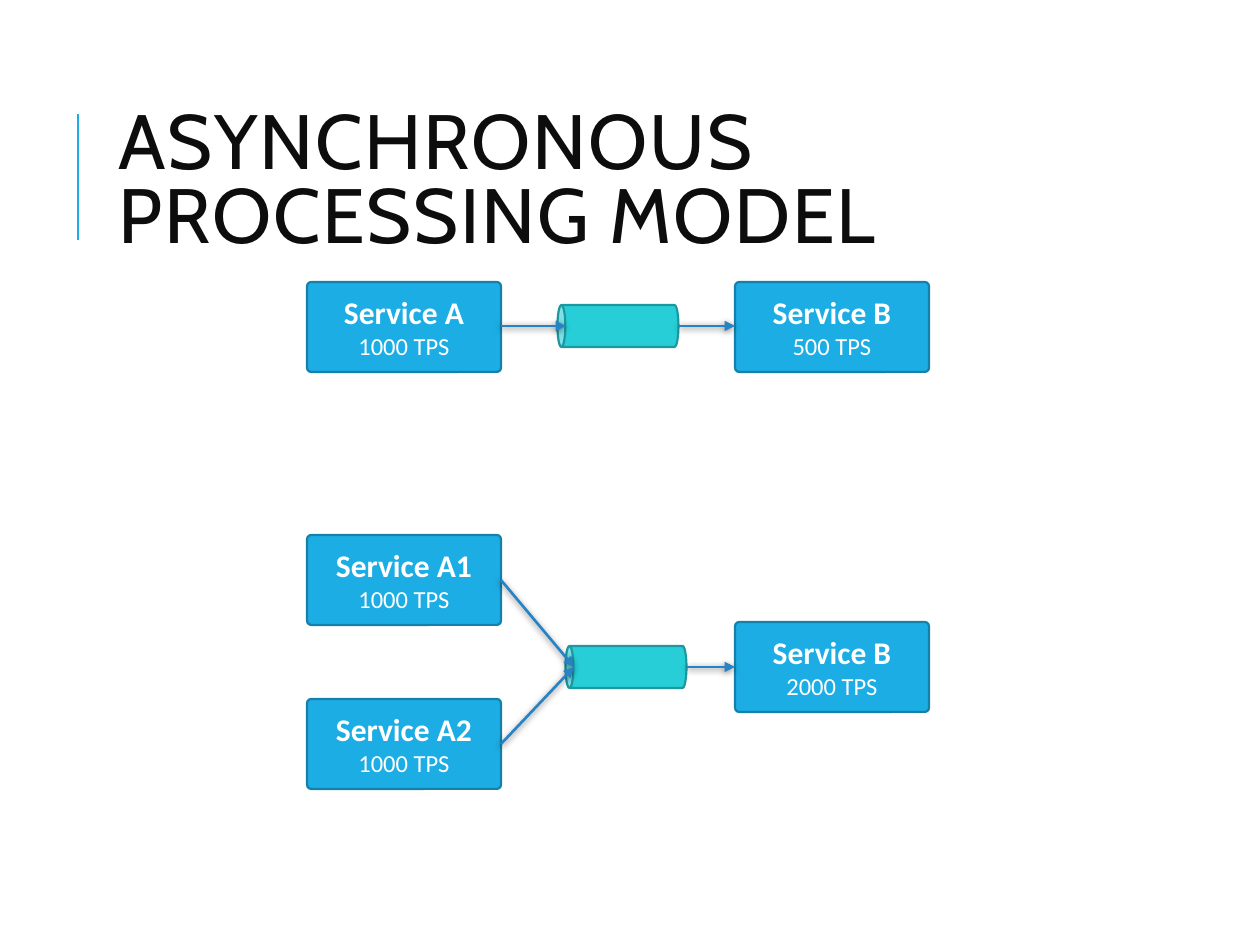
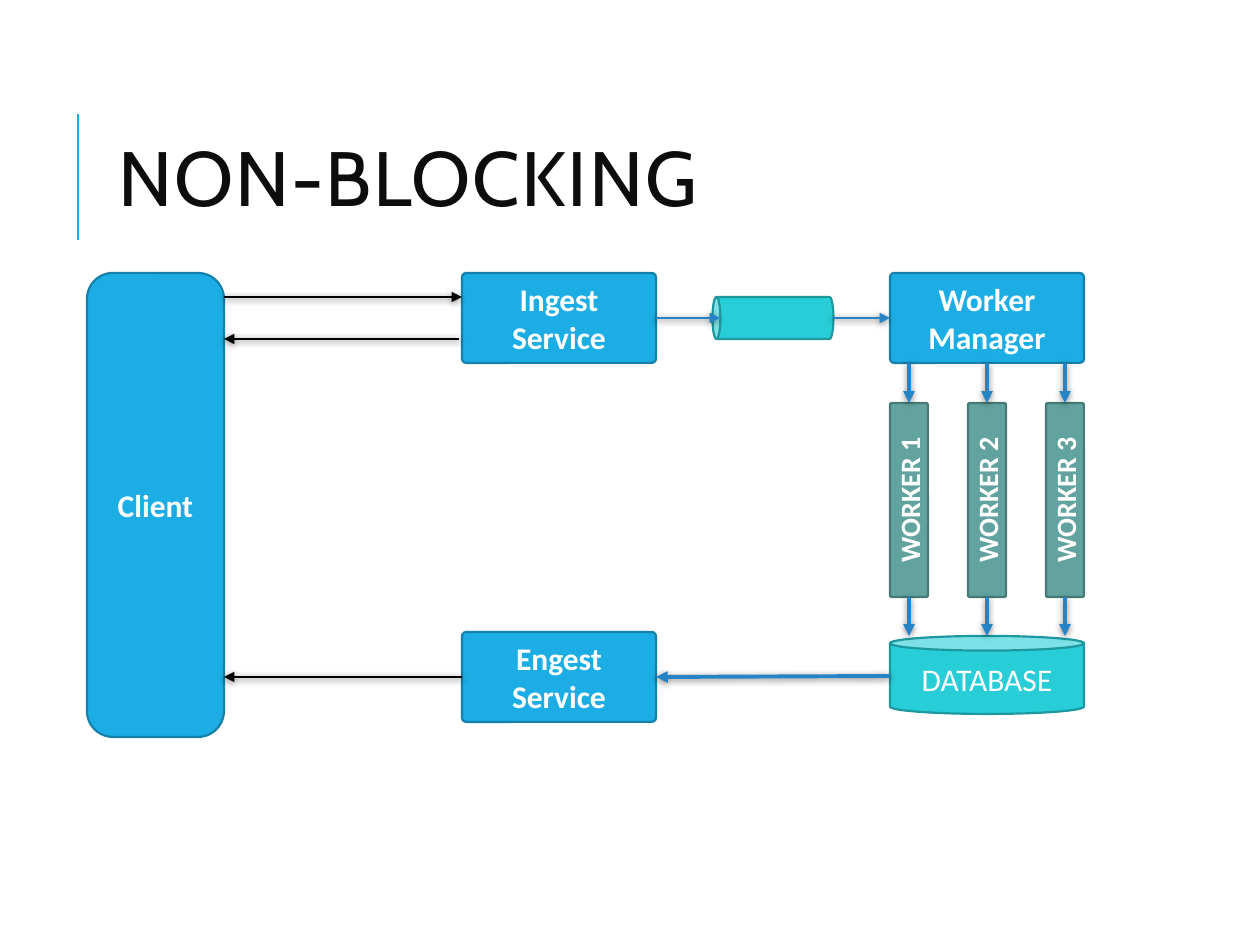
"""Build two slides on asynchronous and non-blocking service designs."""
from lxml import etree
from pptx import Presentation
from pptx import util as u
from pptx.dml.color import RGBColor
from pptx.enum import shapes, text
from pptx.oxml import parse_xml
from pptx.oxml.ns import qn

BLUE, BLUE_EDGE = "1CADE4", "1580A9"
TEAL, TEAL_EDGE = "27CED7", "1D989F"
GREEN, GREEN_EDGE = "62A39F", "497976"
ARROW, BLACK, WHITE, TITLE = "2683C6", "000000", "FFFFFF", "0D0D0D"
BOX_W, BOX_H = 194, 90
QUEUE_W, QUEUE_H = 121, 42
WORKER_H = 38
NS = "http://schemas.openxmlformats.org/drawingml/2006/main"
SHADOW = (f'<a:effectLst xmlns:a="{NS}"><a:outerShdw blurRad="50800" dist="12700" dir="5400000" '
          'rotWithShape="0"><a:srgbClr val="000000"><a:alpha val="50000"/></a:srgbClr>'
          '</a:outerShdw></a:effectLst>')

MODEL = {
    "title": "ASYNCHRONOUS PROCESSING MODEL",
    "services": [
        (307, 282, "Service A", "1000 TPS"),
        (735, 282, "Service B", "500 TPS"),
        (307, 535, "Service A1", "1000 TPS"),
        (735, 622, "Service B", "2000 TPS"),
        (307, 699, "Service A2", "1000 TPS"),
    ],
    "queues": [(618, 326), (626, 667)],
    "arrows": [
        (501, 326, 566, 326), (679, 326, 735, 326),
        (501, 580, 574, 667), (501, 744, 574, 667), (687, 667, 735, 667),
    ],
}
FLOW = {
    "title": "NON-BLOCKING",
    "services": [
        (462, 273, "Ingest Service"),
        (890, 273, "Worker Manager"),
        (462, 632, "Engest Service"),
    ],
    "queues": [(773, 318)],
    "arrows": [(656, 318, 720, 318), (833, 318, 890, 318)],
}
CLIENT = (87, 273, 137, 464)
CLIENT_ARROWS = [(224, 297, 462, 297), (459, 339, 224, 339), (462, 677, 224, 677)]
WORKERS = ["WORKER 1", "WORKER 2", "WORKER 3"]
WORKER_X, WORKER_STEP, WORKER_Y = 909, 78, 500
DATABASE = (890, 636, BOX_W, 78)


def px(n):
    return u.Emu(round(n * 914400 / 126))


def rgb(value):
    return RGBColor.from_string(value)


def write(p, words, size=18, font="Calibri", color=WHITE, bold=False):
    r = p.add_run()
    r.text = words
    r.font.size, r.font.name, r.font.bold = u.Pt(size), font, bold
    r.font.color.rgb = rgb(color)
    return r


def draw(s, kind, box, lines=(), fill=BLUE, edge=BLUE_EDGE, adj=0.047, turn=0):
    sp = s.shapes.add_shape(kind, *map(px, box))
    sp.shadow.inherit = False
    sp.rotation, sp.adjustments[0] = turn, adj
    sp.fill.solid()
    sp.fill.fore_color.rgb = rgb(fill)
    sp.line.color.rgb, sp.line.width = rgb(edge), u.Pt(1.25)
    tf = sp.text_frame
    tf.word_wrap, tf.vertical_anchor = True, text.MSO_ANCHOR.MIDDLE
    for i, (words, size, bold) in enumerate(lines):
        p = tf.add_paragraph() if i else tf.paragraphs[0]
        p.alignment = text.PP_ALIGN.CENTER
        write(p, words, size=size, bold=bold)


def line(s, ends, color=ARROW, width=1.5, arrow=True):
    c = s.shapes.add_connector(shapes.MSO_CONNECTOR.STRAIGHT, *map(px, ends))
    c.line.color.rgb, c.line.width = rgb(color), u.Pt(width)
    if arrow:
        etree.SubElement(c.line._get_or_add_ln(), qn("a:tailEnd"), type="triangle")
        c._element.spPr.append(parse_xml(SHADOW))
    else:
        etree.SubElement(c._element.spPr, qn("a:effectLst"))


def around(cx, cy, w, h):
    return cx - w / 2, cy - h / 2, w, h


def add_slide(prs, title, services, queues, arrows):
    s = prs.slides.add_slide(prs.slide_layouts[5])
    line(s, (78, 240, 78, 114), color=BLUE, arrow=False)
    sp = s.shapes.title
    sp.left, sp.top, sp.width, sp.height = map(px, (106, 81, 1004, 207))
    tf = sp.text_frame
    tf.word_wrap, tf.vertical_anchor = True, text.MSO_ANCHOR.MIDDLE
    tf.auto_size = text.MSO_AUTO_SIZE.NONE
    p = tf.paragraphs[0]
    p.alignment, p.line_spacing = text.PP_ALIGN.LEFT, 0.8
    r = write(p, title, size=44, font="Cabin", color=TITLE)
    r.font._element.set("spc", "100")
    for x, y, name, *rate in services:
        lines = [(name, 18, True)] + [(words, 14, False) for words in rate]
        draw(s, shapes.MSO_SHAPE.ROUNDED_RECTANGLE, (x, y, BOX_W, BOX_H), lines)
    for cx, cy in queues:
        draw(s, shapes.MSO_SHAPE.CAN, around(cx, cy, QUEUE_H, QUEUE_W),
             fill=TEAL, edge=TEAL_EDGE, adj=0.188, turn=270)
    for ends in arrows:
        line(s, ends)
    return s


def add_workers(s):
    top, bottom = WORKER_Y - BOX_W / 2, WORKER_Y + BOX_W / 2
    for i, name in enumerate(WORKERS):
        x = WORKER_X + i * WORKER_STEP
        draw(s, shapes.MSO_SHAPE.ROUNDED_RECTANGLE, around(x, WORKER_Y, BOX_W, WORKER_H),
             [(name, 16, True)], fill=GREEN, edge=GREEN_EDGE, turn=270)
        line(s, (x, 363, x, top), width=2.25)
        line(s, (x, bottom, x, DATABASE[1]), width=2.25)


prs = Presentation()
prs.slide_width, prs.slide_height = px(1260), px(945)
add_slide(prs, **MODEL)
s = add_slide(prs, **FLOW)
draw(s, shapes.MSO_SHAPE.ROUNDED_RECTANGLE, CLIENT, [("Client", 18, True)], adj=0.19)
for ends in CLIENT_ARROWS:
    line(s, ends, color=BLACK)
draw(s, shapes.MSO_SHAPE.CAN, DATABASE, [("DATABASE", 18, False)],
     fill=TEAL, edge=TEAL_EDGE, adj=0.188)
add_workers(s)
line(s, (890, 676, 656, 677), width=2.25)
prs.save("out.pptx")
